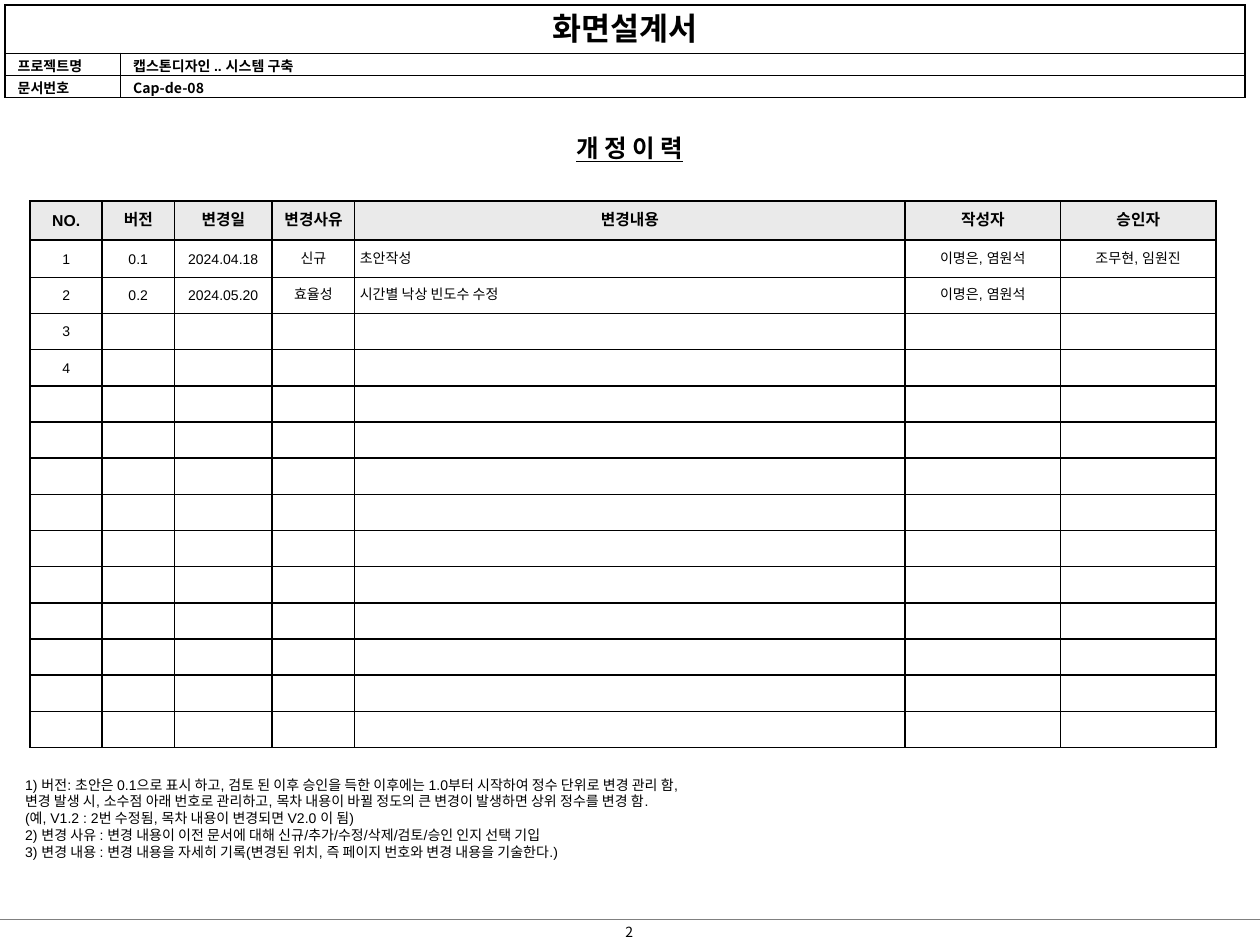
"""Build the revision history slide of a screen design document."""
from dataclasses import dataclass

from lxml import etree
from pptx import Presentation
from pptx.dml.color import RGBColor
from pptx.enum.shapes import MSO_CONNECTOR
from pptx.enum.text import MSO_ANCHOR, PP_ALIGN
from pptx.oxml.ns import qn
from pptx.util import Pt

LEFT, CENTER = PP_ALIGN.LEFT, PP_ALIGN.CENTER
TOP, MIDDLE = MSO_ANCHOR.TOP, MSO_ANCHOR.MIDDLE
STRAIGHT = MSO_CONNECTOR.STRAIGHT


@dataclass(frozen=True)
class Theme:
    ink: str = "000000"
    rule: str = "808080"
    paper: str = "FFFFFF"
    heading_fill: str = "EAEAEA"
    latin: str = "Arial"
    korean: str = "Noto Sans CJK KR"
    title: float = 18
    subtitle: float = 14
    heading: float = 9
    body: float = 8
    leading: float = 1.2
    border: float = 1
    rule_width: float = 0.75


THEME = Theme()


@dataclass(frozen=True)
class TextStyle:
    size: float = THEME.body
    bold: bool = False
    underline: bool = False
    align: PP_ALIGN = LEFT
    latin: str = THEME.latin


@dataclass(frozen=True)
class CellStyle:
    text: TextStyle
    anchor: MSO_ANCHOR = MIDDLE
    side: float = 3
    top: float = 0
    fill: str | None = None


@dataclass(frozen=True)
class Box:
    left: float
    top: float
    width: float
    height: float


def write_line(paragraph, text: str, style: TextStyle) -> None:
    paragraph.alignment = style.align
    paragraph.line_spacing = Pt(round(style.size * THEME.leading, 2))
    if not text:
        end = etree.SubElement(paragraph._p, qn("a:endParaRPr"))
        end.set("sz", str(int(style.size * 100)))
        return
    run = paragraph.add_run()
    run.text = text
    font = run.font
    font.size = Pt(style.size)
    font.bold = style.bold
    font.underline = style.underline
    font.name = style.latin
    font.color.rgb = RGBColor.from_string(THEME.ink)
    east_asian = etree.SubElement(run._r.get_or_add_rPr(), qn("a:ea"))
    east_asian.set("typeface", THEME.korean)


def add_text(slide, box: Box, lines: list[str], style: TextStyle) -> None:
    shape = slide.shapes.add_textbox(Pt(box.left), Pt(box.top), Pt(box.width), Pt(box.height))
    frame = shape.text_frame
    frame.word_wrap = True
    for index, line in enumerate(lines):
        paragraph = frame.add_paragraph() if index else frame.paragraphs[0]
        write_line(paragraph, line, style)


def add_rule(slide, top: float, width: float) -> None:
    connector = slide.shapes.add_connector(STRAIGHT, Pt(0), Pt(top), Pt(width), Pt(top))
    connector.line.color.rgb = RGBColor.from_string(THEME.rule)
    connector.line.width = Pt(THEME.rule_width)
    etree.SubElement(connector._element.spPr, qn("a:effectLst"))


def add_borders(cell) -> None:
    properties = cell._tc.get_or_add_tcPr()
    for index, side in enumerate(("lnL", "lnR", "lnT", "lnB")):
        line = etree.Element(qn(f"a:{side}"), w=str(Pt(THEME.border)))
        fill = etree.SubElement(line, qn("a:solidFill"))
        etree.SubElement(fill, qn("a:srgbClr"), val=THEME.ink)
        properties.insert(index, line)


def fill_cell(cell, text: str, style: CellStyle) -> None:
    cell.vertical_anchor = style.anchor
    cell.margin_left = cell.margin_right = Pt(style.side)
    cell.margin_top, cell.margin_bottom = Pt(style.top), Pt(0)
    if style.fill:
        cell.fill.solid()
        cell.fill.fore_color.rgb = RGBColor.from_string(style.fill)
    else:
        cell.fill.background()
    add_borders(cell)
    write_line(cell.text_frame.paragraphs[0], text, style.text)


def add_grid(slide, left: float, top: float, widths: list[float], heights: list[float]):
    table = slide.shapes.add_table(
        len(heights), len(widths), Pt(left), Pt(top), Pt(sum(widths)), Pt(sum(heights))
    ).table
    table.first_row = table.horz_banding = False
    for column, width in zip(table.columns, widths):
        column.width = Pt(width)
    for row, height in zip(table.rows, heights):
        row.height = Pt(height)
    return table


def add_document_header(slide) -> None:
    title = CellStyle(TextStyle(THEME.title, True, align=CENTER, latin=THEME.korean),
                      TOP, 7.2, 4, THEME.paper)
    label = CellStyle(TextStyle(bold=True), TOP, 7.2, 3, THEME.paper)
    code = CellStyle(TextStyle(bold=True, latin=THEME.korean), TOP, 7.2, 3, THEME.paper)
    rows = [
        [("화면설계서", title), ("", title)],
        [("프로젝트명", label), ("캡스톤디자인 .. 시스템 구축", label)],
        [("문서번호", label), ("Cap-de-08", code)],
    ]
    table = add_grid(slide, 2.9, 2.9, [66, 642.5], [27.6, 12.6, 12.6])
    for row_index, row in enumerate(rows):
        for column_index, (text, style) in enumerate(row):
            fill_cell(table.cell(row_index, column_index), text, style)
    table.cell(0, 0).merge(table.cell(0, 1))


def add_revision_table(slide) -> None:
    headings = ["NO.", "버전", "변경일", "변경사유", "변경내용", "작성자", "승인자"]
    revisions = [
        ["1", "0.1", "2024.04.18", "신규", "초안작성", "이명은, 염원석", "조무현, 임원진"],
        ["2", "0.2", "2024.05.20", "효율성", "시간별 낙상 빈도수 수정", "이명은, 염원석"],
        ["3"],
        ["4"],
    ]
    heading = CellStyle(TextStyle(THEME.heading, True, align=CENTER), fill=THEME.heading_fill)
    centered = CellStyle(TextStyle(align=CENTER))
    description = CellStyle(TextStyle())
    widths = [41.2, 41.2, 56, 47.1, 314.6, 88.8, 88.8]
    heights = [22.2, 21.4] + [20.68] * 13
    table = add_grid(slide, 17.2, 114.9, widths, heights)
    for column_index, text in enumerate(headings):
        fill_cell(table.cell(0, column_index), text, heading)
        body = description if text == "변경내용" else centered
        for row_index in range(1, len(heights)):
            values = revisions[row_index - 1] if row_index <= len(revisions) else []
            value = values[column_index] if column_index < len(values) else ""
            fill_cell(table.cell(row_index, column_index), value, body)


def main() -> None:
    presentation = Presentation()
    presentation.slide_width, presentation.slide_height = Pt(720), Pt(540)
    slide = presentation.slides.add_slide(presentation.slide_layouts[6])
    notes = [
        "1) 버전: 초안은 0.1으로 표시 하고, 검토 된 이후 승인을 득한 이후에는 1.0부터 시작하여 정수 단위로 변경 관리 함,",
        "변경 발생 시, 소수점 아래 번호로 관리하고, 목차 내용이 바뀔 정도의 큰 변경이 발생하면 상위 정수를 변경 함.",
        "(예, V1.2 : 2번 수정됨, 목차 내용이 변경되면 V2.0 이 됨)",
        "2) 변경 사유 : 변경 내용이 이전 문서에 대해 신규/추가/수정/삭제/검토/승인 인지 선택 기입",
        "3) 변경 내용 : 변경 내용을 자세히 기록(변경된 위치, 즉 페이지 번호와 변경 내용을 기술한다.)",
    ]
    add_rule(slide, 525.6, 720)
    add_text(slide, Box(339.8, 524.2, 39.6, 17.3), ["2"],
             TextStyle(align=CENTER, latin=THEME.korean))
    add_document_header(slide)
    add_text(slide, Box(0, 72.7, 720, 24.5), ["개 정 이 력"],
             TextStyle(THEME.subtitle, True, True, CENTER))
    add_text(slide, Box(7.2, 439.9, 648.7, 55.4), notes, TextStyle())
    add_revision_table(slide)
    presentation.save("out.pptx")


if __name__ == "__main__":
    main()
